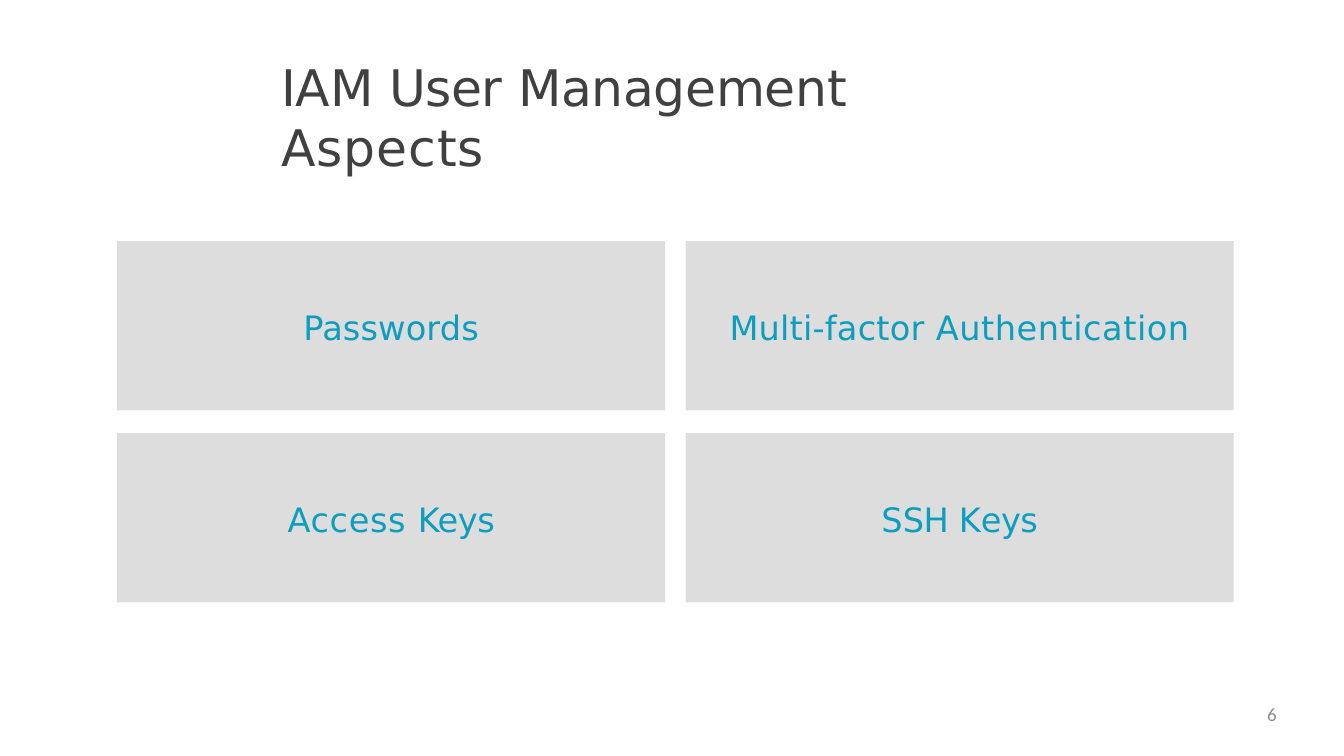
import pptx
import pptx.dml.color
import pptx.enum.shapes
import pptx.enum.text
import pptx.util

Inches = pptx.util.Inches
Pt = pptx.util.Pt
ALIGN = pptx.enum.text.PP_ALIGN
ANCHOR = pptx.enum.text.MSO_ANCHOR

# Content: runs of (text, letter spacing in points)
TITLE = [("IAM ", -0.2), ("User ", -0.5), ("Management ", -0.3), ("Aspects", 0.9)]
ASPECTS = [
    [("Passwords", 0.1)],
    [("Multi-factor ", 0.2), ("Authentication", 0.5)],
    [("Access ", 0.6), ("Keys", -0.5)],
    [("S", -1.8), ("SH ", -0.6), ("K", 0), ("eys", -0.6)],
]
PAGE_NUMBER = [("6", 0)]

# Grid of aspect boxes, in inches
COLUMNS = 2
LEFT, TOP = 1.55, 3.19
BOX_W, BOX_H = 7.25, 2.24
STEP_X, STEP_Y = 7.52, 2.54


def rgb(color):
    return pptx.dml.color.RGBColor.from_string(color)


def write(sp, runs, size, color, font="DejaVu Sans", align=ALIGN.LEFT,
          anchor=ANCHOR.TOP, insets=(0, 0, 0, 0)):
    tf = sp.text_frame
    tf.word_wrap = True
    tf.vertical_anchor = anchor
    tf.margin_left, tf.margin_top, tf.margin_right, tf.margin_bottom = map(Inches, insets)
    p = tf.paragraphs[0]
    p.alignment = align
    for text, spacing in runs:
        r = p.add_run()
        r.text = text
        r.font.size = Pt(size)
        r.font.name = font
        r.font.color.rgb = rgb(color)
        if spacing:
            r.font._element.set("spc", str(round(spacing * 100)))


prs = pptx.Presentation()
prs.slide_width, prs.slide_height = Inches(17.78), Inches(10)
s = prs.slides.add_slide(prs.slide_layouts[6])

# Title, wrapping onto a second line
sp = s.shapes.add_textbox(Inches(3.71), Inches(0.71), Inches(10.36), Inches(0.83))
write(sp, TITLE, 48, "404040", insets=(0.01, 0.03, 0.1, 0))

# Aspect boxes
for i, runs in enumerate(ASPECTS):
    row, col = divmod(i, COLUMNS)
    sp = s.shapes.add_shape(
        pptx.enum.shapes.MSO_SHAPE.RECTANGLE,
        Inches(LEFT + col * STEP_X), Inches(TOP + row * STEP_Y),
        Inches(BOX_W), Inches(BOX_H))
    sp.shadow.inherit = False
    sp.fill.solid()
    sp.fill.fore_color.rgb = rgb("DDDDDD")
    sp.line.fill.background()
    write(sp, runs, 32, "0C9DBF", align=ALIGN.CENTER, anchor=ANCHOR.MIDDLE,
          insets=(0, 0.04, 0, 0))

# Page number
sp = s.shapes.add_textbox(Inches(12.8), Inches(9.3), Inches(4.09), Inches(0.5))
write(sp, PAGE_NUMBER, 18, "8C8C8C", font="Calibri", align=ALIGN.RIGHT)

prs.save("out.pptx")
